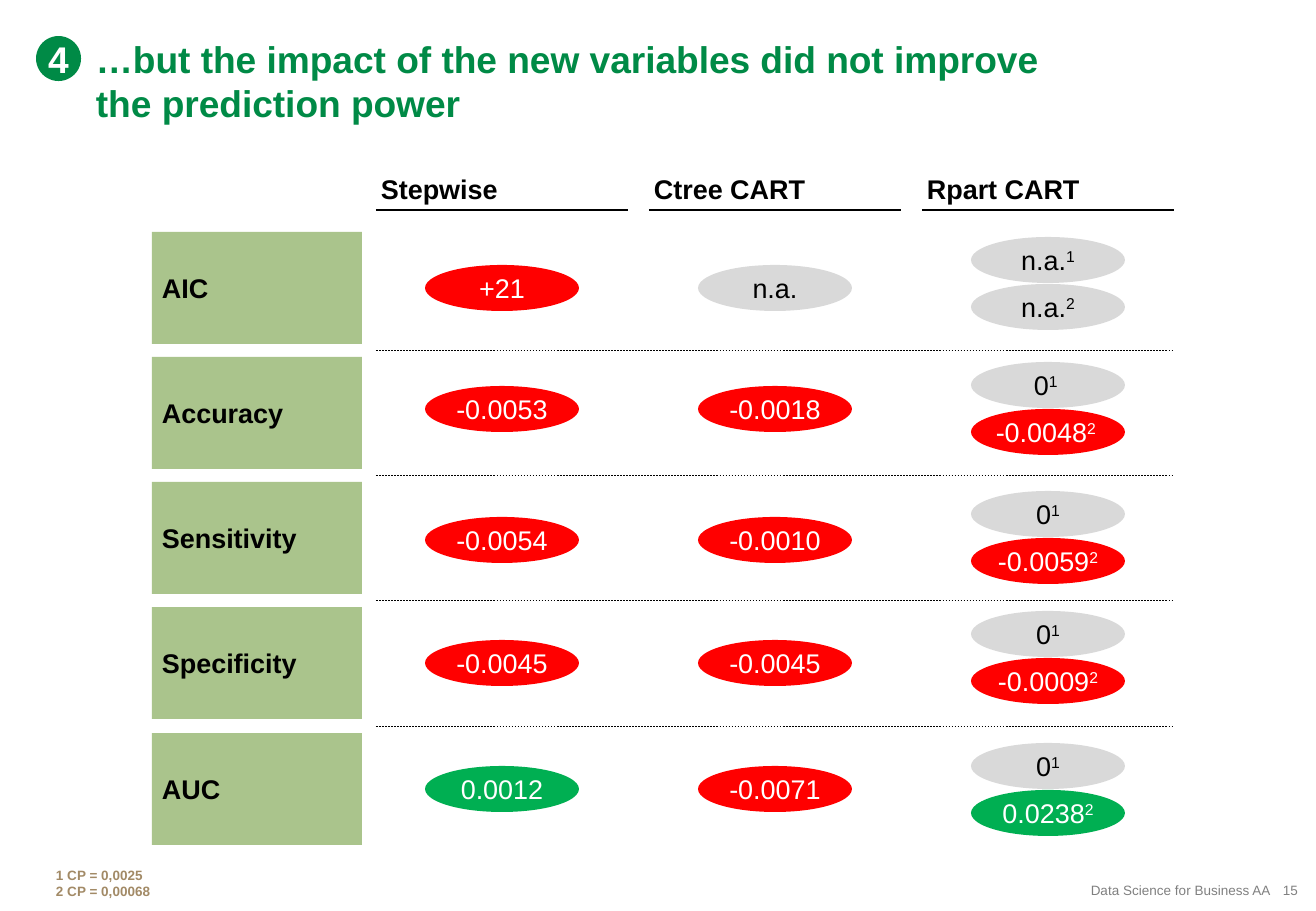
from dataclasses import dataclass

from lxml import etree
from pptx import Presentation
from pptx import util as u
from pptx.dml.color import RGBColor
from pptx.enum import dml, shapes, text
from pptx.oxml.ns import qn

SCALE = 7526


@dataclass(frozen=True)
class Theme:
    font: str = "Arial"
    title_size: int = 22
    body_size: int = 16
    note_size: int = 8
    brand: str = "008A46"
    label: str = "AAC48C"
    worse: str = "FF0000"
    better: str = "00AF52"
    neutral: str = "D9D9D9"
    ink: str = "000000"
    paper: str = "FFFFFF"
    footer: str = "808080"
    note: str = "A28A66"


THEME = Theme()
WORSE, BETTER, NEUTRAL = THEME.worse, THEME.better, THEME.neutral

COLUMN_LEFT, COLUMN_STEP, COLUMN_WIDTH = 376, 273, 252
ROW_TOP, ROW_HEIGHT, ROW_SPAN = 232, 112, 501
PILL_INSET, PILL_WIDTH, PILL_HEIGHT, PILL_STEP = 49, 154, 46, 47

MODELS = ["Stepwise", "Ctree CART", "Rpart CART"]

METRICS = [
    ("AIC", 265, 237, [("+21", "", WORSE), ("n.a.", "", NEUTRAL),
                       ("n.a.", "1", NEUTRAL), ("n.a.", "2", NEUTRAL)]),
    ("Accuracy", 386, 362, [("-0.0053", "", WORSE), ("-0.0018", "", WORSE),
                            ("0", "1 ", NEUTRAL), ("-0.0048", "2 ", WORSE)]),
    ("Sensitivity", 517, 491, [("-0.0054", "", WORSE), ("-0.0010", "", WORSE),
                               ("0", "1", NEUTRAL), ("-0.0059", "2", WORSE)]),
    ("Specificity", 640, 611, [("-0.0045", "", WORSE), ("-0.0045", "", WORSE),
                               ("0", "1", NEUTRAL), ("-0.0009", "2", WORSE)]),
    ("AUC", 766, 743, [("0.0012", "", BETTER), ("-0.0071", "", WORSE),
                       ("0", "1", NEUTRAL), ("0.0238", "2", BETTER)]),
]


def px(*lengths):
    return [u.Emu(length * SCALE) for length in lengths]


def write(box, lines, size, color, bold=False, align=text.PP_ALIGN.LEFT,
          anchor=text.MSO_ANCHOR.TOP, inset=0, wrap=True, before=0):
    frame = box.text_frame
    frame.word_wrap = wrap
    frame.vertical_anchor = anchor
    frame.margin_left, frame.margin_top, frame.margin_right, frame.margin_bottom = px(*[inset] * 4)
    frame.text = lines
    for para in frame.paragraphs:
        para.alignment = align
        para.space_before = u.Pt(before)
        for span in para.runs:
            style(span, size, color, bold)


def style(span, size, color, bold=False):
    span.font.name = THEME.font
    span.font.size = u.Pt(size)
    span.font.bold = bold
    span.font.color.rgb = RGBColor.from_string(color)


def add_text(page, area, lines, size, color, **options):
    box = page.shapes.add_textbox(*px(*area))
    write(box, lines, size, color, **options)


def add_filled(page, kind, area, fill):
    box = page.shapes.add_shape(kind, *px(*area))
    box.shadow.inherit = False
    box.fill.solid()
    box.fill.fore_color.rgb = RGBColor.from_string(fill)
    box.line.fill.background()
    return box


def add_rule(page, left, right, y, weight, dashed=False):
    rule = page.shapes.add_connector(shapes.MSO_CONNECTOR.STRAIGHT, *px(left, y, right, y))
    rule.line.color.rgb = RGBColor.from_string(THEME.ink)
    rule.line.width = u.Pt(weight)
    if dashed:
        rule.line.dash_style = dml.MSO_LINE.DASH
    etree.SubElement(rule._element.spPr, qn("a:effectLst"))


def add_title(page):
    add_text(page, (96, 36, 992, 90),
             "…but the impact of the new variables did not improve the prediction power",
             THEME.title_size, THEME.brand, bold=True)
    badge = add_filled(page, shapes.MSO_SHAPE.OVAL, (36, 36, 45, 45), THEME.brand)
    write(badge, "4", THEME.title_size, THEME.paper, bold=True, wrap=False,
          align=text.PP_ALIGN.CENTER, anchor=text.MSO_ANCHOR.MIDDLE)


def add_heading(page, left, name):
    add_text(page, (left, 168, COLUMN_WIDTH, 42), name, THEME.body_size, THEME.ink,
             bold=True, inset=5, before=1)
    add_rule(page, left, left + COLUMN_WIDTH, 210, 0.75)


def add_label(page, top, name):
    label = add_filled(page, shapes.MSO_SHAPE.RECTANGLE, (152, top, 210, ROW_HEIGHT), THEME.label)
    write(label, name, THEME.body_size, THEME.ink, bold=True, inset=10,
          anchor=text.MSO_ANCHOR.MIDDLE, before=1)


def add_pill(page, column, top, value, mark, fill):
    left = COLUMN_LEFT + column * COLUMN_STEP + PILL_INSET
    pill = add_filled(page, shapes.MSO_SHAPE.OVAL, (left, top, PILL_WIDTH, PILL_HEIGHT), fill)
    color = THEME.ink if fill == NEUTRAL else THEME.paper
    write(pill, value, THEME.body_size, color,
          align=text.PP_ALIGN.CENTER, anchor=text.MSO_ANCHOR.MIDDLE)
    if mark:
        span = pill.text_frame.paragraphs[0].add_run()
        span.text = mark
        style(span, THEME.body_size, color)
        span._r.get_or_add_rPr().set("baseline", "30000")


def add_metric(page, row, name, single_top, pair_top, values):
    top = ROW_TOP + row * ROW_SPAN // (len(METRICS) - 1)
    add_label(page, top, name)
    if row:
        right = COLUMN_LEFT + (len(MODELS) - 1) * COLUMN_STEP + COLUMN_WIDTH
        add_rule(page, COLUMN_LEFT, right, top - 7, 0.25, dashed=True)
    places = [(0, single_top), (1, single_top), (2, pair_top), (2, pair_top + PILL_STEP)]
    for (column, pill_top), value in zip(places, values):
        add_pill(page, column, pill_top, *value)


def add_footer(page):
    bottom = text.MSO_ANCHOR.BOTTOM
    add_text(page, (56, 866, 1266, 33), "1 CP = 0,0025\n2 CP = 0,00068",
             THEME.note_size, THEME.note, bold=True, anchor=bottom)
    add_text(page, (1087, 882, 184, 16), "Data Science for Business AA",
             THEME.note_size, THEME.footer, align=text.PP_ALIGN.RIGHT, anchor=bottom, wrap=False)
    add_text(page, (1283, 882, 17, 16), "15",
             THEME.note_size, THEME.footer, anchor=bottom, wrap=False)


def main():
    deck = Presentation()
    deck.slide_width, deck.slide_height = px(1316, 911)
    page = deck.slides.add_slide(deck.slide_layouts[6])
    add_title(page)
    for column, name in enumerate(MODELS):
        add_heading(page, COLUMN_LEFT + column * COLUMN_STEP, name)
    for row, metric in enumerate(METRICS):
        add_metric(page, row, *metric)
    add_footer(page)
    deck.save("out.pptx")


if __name__ == "__main__":
    main()
